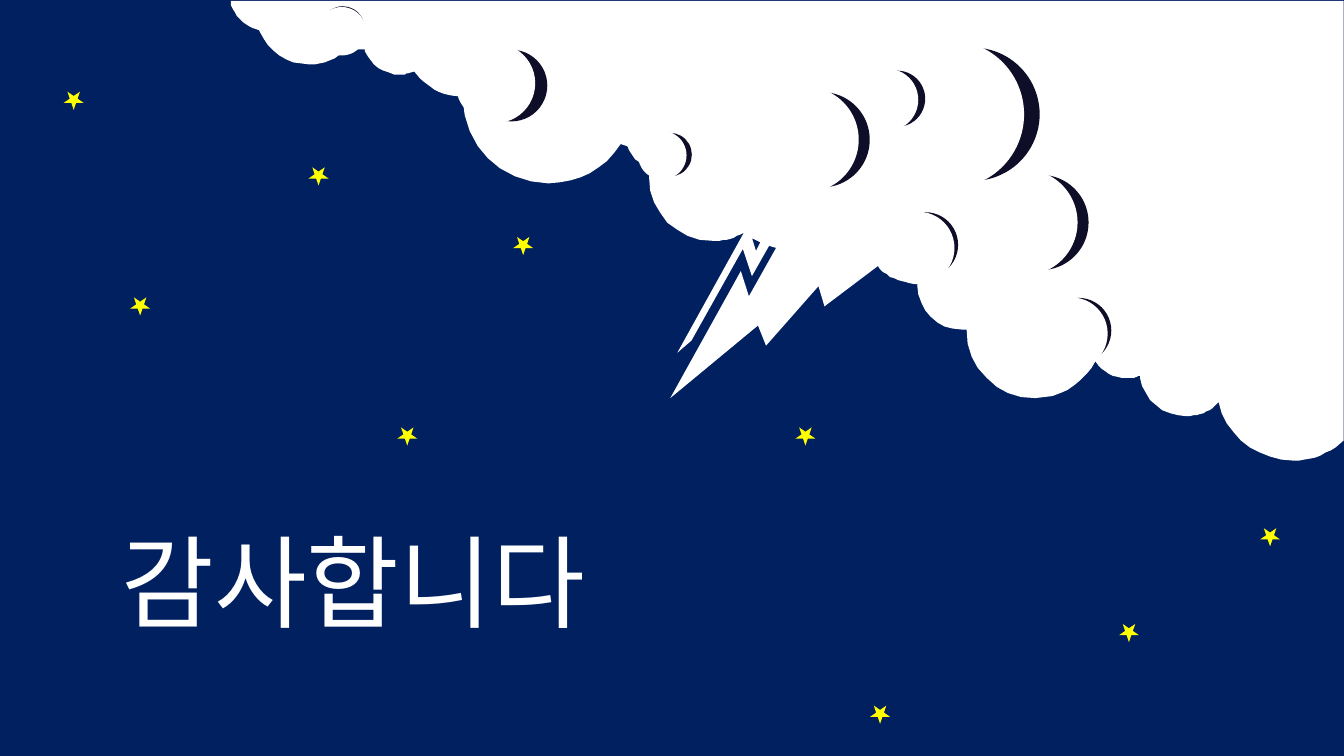
"""Closing slide: a storm cloud with lightning over a starry night sky."""
from lxml.etree import SubElement
from pptx import Presentation
from pptx.dml.color import RGBColor
from pptx.enum.shapes import MSO_SHAPE
from pptx.enum.text import MSO_AUTO_SIZE, PP_ALIGN
from pptx.oxml.ns import qn
from pptx.util import Pt

NIGHT = RGBColor(0x00, 0x20, 0x60)
WHITE = RGBColor(0xFF, 0xFF, 0xFF)
YELLOW = RGBColor(0xFF, 0xFF, 0x00)
SHADE = "0F0E28"
FONT = "Noto Sans CJK KR"
UNIT = Pt(0.72)
STEPS = 8

# Outline in UNITs: pairs are corners, sextets are cubic curves
CLOUD = [
    (1283, 457), (1251, 457, 1224, 437, 1212, 410), (1209, 399), (1203, 405),
    (1195, 410, 1186, 413, 1177, 413), (1154, 413, 1135, 397, 1131, 375),
    (1131, 373), (1129, 373), (1126, 375, 1122, 375, 1118, 375),
    (1105, 375, 1094, 369, 1087, 359), (1087, 358), (1083, 365),
    (1071, 383, 1050, 395, 1027, 395), (989, 395, 959, 365, 959, 327),
    (954, 327), (930, 327, 910, 308, 910, 283), (911, 279), (904, 280),
    (892, 280, 881, 275, 873, 267), (871, 264), (818, 304), (812, 284),
    (760, 343), (752, 323), (665, 395), (735, 269), (743, 294), (770, 246),
    (763, 244), (746, 274), (737, 247), (686, 338), (672, 350), (738, 231),
    (734, 233), (726, 237, 717, 239, 707, 239), (672, 239, 644, 211, 644, 176),
    (645, 166), (642, 166), (633, 162, 626, 155, 623, 146), (622, 145),
    (616, 143), (615, 144), (600, 167, 574, 182, 544, 182),
    (497, 182, 459, 144, 459, 97), (459, 96), (449, 95),
    (436, 93, 425, 86, 416, 77), (411, 71), (404, 73),
    (402, 74, 399, 74, 397, 74), (381, 74, 368, 65, 362, 51), (362, 49),
    (358, 49), (355, 49, 353, 49, 350, 48), (346, 47), (344, 49),
    (334, 58, 321, 64, 307, 64), (285, 64, 266, 51, 258, 32), (257, 30),
    (251, 28), (241, 24, 233, 15, 229, 5), (229, 1), (1333, 1), (1333, 437),
    (1325, 444), (1313, 452, 1298, 457, 1283, 457),
]
NOTCH = [(750, 249), (754, 241), (754, 240), (751, 239, 749, 238, 746, 236)]

# Left, top, diameter, shadow distance, shadow angle
PUFFS = [
    (625.7, 28.8, 105.8, 17, 290), (611.3, 49, 44.6, 8, 290),
    (537.8, 61.9, 75.6, 12, 290), (630, 151.2, 51.8, 10, 270),
    (694.1, 121, 75.6, 12, 290), (739.4, 212.4, 51.8, 10, 270),
    (325.4, 31, 56.9, 9, 310), (226.8, 5, 34.6, 8, 250),
    (455.8, 93.6, 34.6, 6, 290),
]
STARS = [
    (283.7, 305.3), (220.3, 119.5), (366.5, 169.2), (799.2, 445.7),
    (621.4, 504), (45.4, 65.5), (92.9, 212.4), (568.1, 305.3), (900, 377.3),
]


def trace(path):
    """Return the path as plain points, with its curves sampled."""
    dots = [path[0]]
    for item in path[1:]:
        if len(item) == 2:
            dots.append(item)
            continue
        ends = [dots[-1], item[:2], item[2:4], item[4:]]
        for step in range(1, STEPS + 1):
            t = step / STEPS
            parts = ((1 - t) ** 3, 3 * t * (1 - t) ** 2, 3 * t * t * (1 - t), t ** 3)
            dots.append(tuple(sum(w * e[i] for w, e in zip(parts, ends)) for i in (0, 1)))
    return dots


def paint(shape, color):
    """Give the shape a plain fill with no line or theme shadow."""
    shape.shadow.inherit = False
    shape.fill.solid()
    shape.fill.fore_color.rgb = color
    shape.line.fill.background()


deck = Presentation()
deck.slide_width, deck.slide_height = Pt(960), Pt(540)
slide = deck.slides.add_slide(deck.slide_layouts[6])
slide.background.fill.solid()
slide.background.fill.fore_color.rgb = NIGHT

storm = slide.shapes.add_group_shape()
dots, hole = trace(CLOUD), trace(NOTCH)
pen = storm.shapes.build_freeform(*dots[0], scale=UNIT)
pen.add_line_segments(dots[1:])
pen.move_to(*hole[0])
pen.add_line_segments(hole[1:])
paint(pen.convert_to_shape(), WHITE)

for left, top, size, dist, angle in PUFFS:
    puff = storm.shapes.add_shape(MSO_SHAPE.OVAL, Pt(left), Pt(top), Pt(size), Pt(size))
    puff.rotation = 180
    paint(puff, WHITE)
    effect = puff._element.spPr.find(qn("a:effectLst"))
    shadow = SubElement(effect, qn("a:outerShdw"), dist=str(Pt(dist)), dir=str(angle * 60000),
                        sx="90000", sy="90000", algn="b", rotWithShape="0")
    SubElement(shadow, qn("a:srgbClr"), val=SHADE)

box = slide.shapes.add_textbox(Pt(13.7), Pt(367.9), Pt(477.4), Pt(94.3))
frame = box.text_frame
for key, value in {"word_wrap": True, "auto_size": MSO_AUTO_SIZE.SHAPE_TO_FIT_TEXT}.items():
    setattr(frame, key, value)
line = frame.paragraphs[0]
line.alignment = PP_ALIGN.CENTER
run = line.add_run()
run.text = "감사합니다"
for key, value in {"size": Pt(72), "name": FONT, "bold": False}.items():
    setattr(run.font, key, value)
run.font.color.rgb = WHITE
SubElement(run._r.rPr, qn("a:ea"), typeface=FONT)

for left, top in STARS:
    star = slide.shapes.add_shape(MSO_SHAPE.STAR_5_POINT, Pt(left), Pt(top), Pt(14.4), Pt(13))
    star.rotation = 180
    paint(star, YELLOW)

deck.save("out.pptx")
